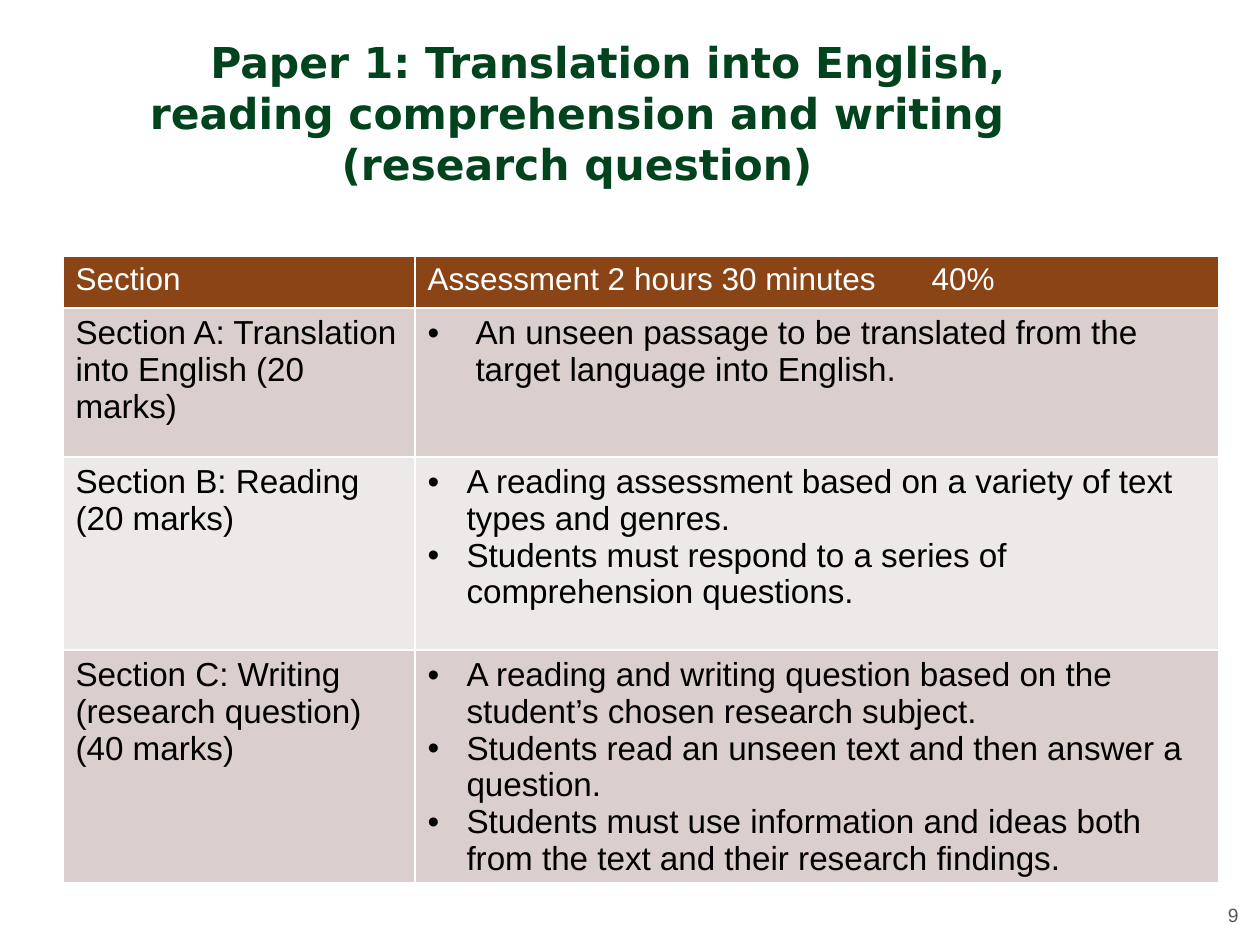
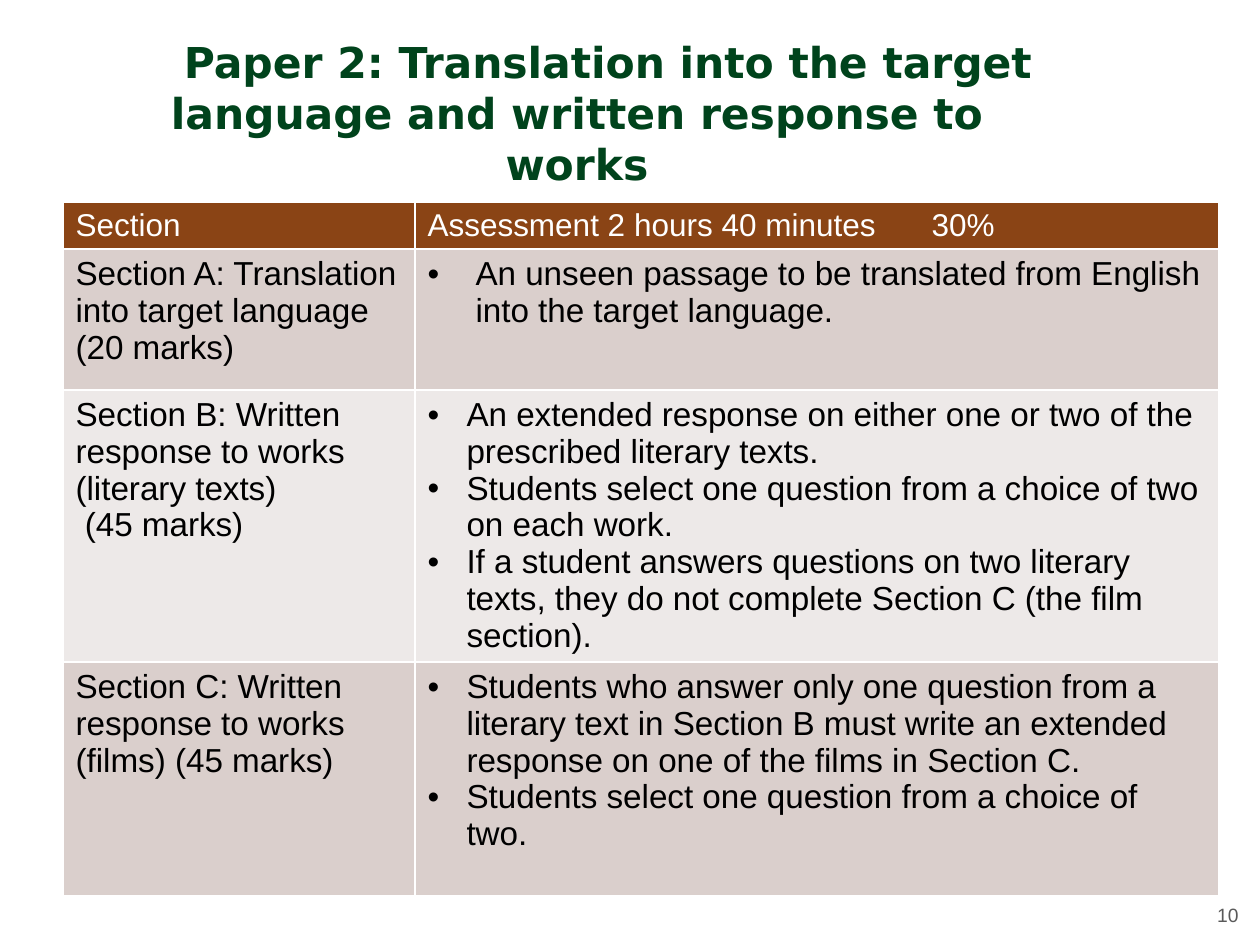
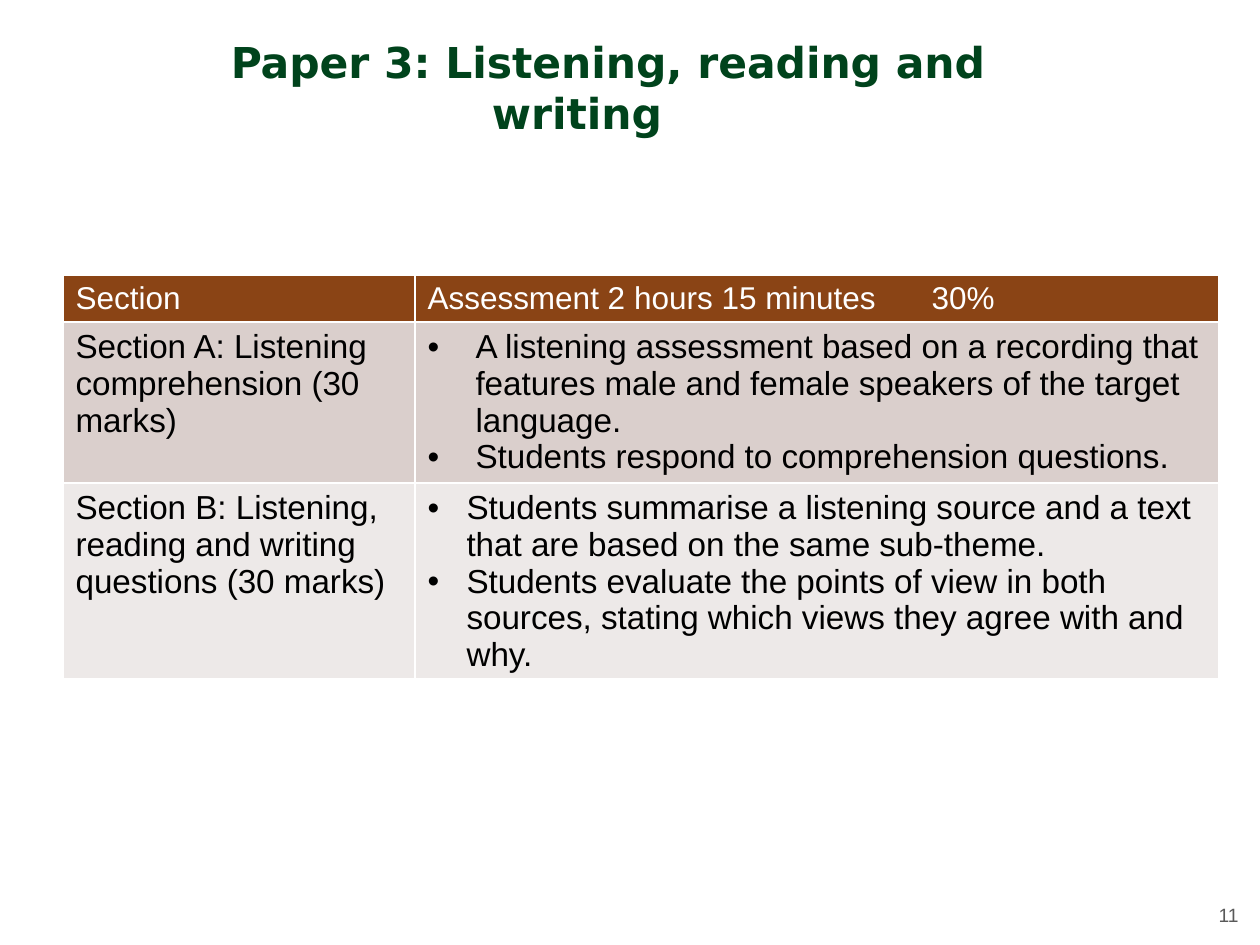
from lxml.etree import SubElement
from pptx import Presentation
from pptx.dml.color import RGBColor
from pptx.enum.text import PP_ALIGN
from pptx.oxml.ns import qn
from pptx.util import Pt

PX = 914400 // 126
GREEN = RGBColor(0x00, 0x43, 0x1C)
BROWN = RGBColor(0x8A, 0x44, 0x15)
DARK = RGBColor(0xDA, 0xCF, 0xCC)
LIGHT = RGBColor(0xED, 0xE9, 0xE8)
WHITE = RGBColor(0xFF, 0xFF, 0xFF)
BLACK = RGBColor(0x00, 0x00, 0x00)
GREY = RGBColor(0x59, 0x59, 0x59)

TITLE = (107, 36, 940, 77)
NUMBER = (1199, 897, 52, 37)
COLS = (352, 804)
LEFT = 63

PAPERS = [
    {
        "title": "Paper 1: Translation into English, reading comprehension and writing (research question)",
        "head": "Assessment 2 hours 30 minutes\t40%",
        "top": 256,
        "rows": (52, 149, 193, 233),
        "parts": [
            (["Section A: Translation into English (20 marks)"],
             ["An unseen passage to be translated from the target language into English."]),
            (["Section B: Reading (20 marks)"],
             ["A reading assessment based on a variety of text types and genres.",
              "Students must respond to a series of comprehension questions."]),
            (["Section C: Writing (research question) (40 marks)"],
             ["A reading and writing question based on the student’s chosen research subject.",
              "Students read an unseen text and then answer a question.",
              "Students must use information and ideas both from the text and their research findings."]),
        ],
    },
    {
        "title": "Paper 2: Translation into the target language and written response to works",
        "head": "Assessment 2 hours 40 minutes\t30%",
        "top": 202,
        "rows": (47, 141, 272, 234),
        "parts": [
            (["Section A: Translation into target language (20 marks)"],
             ["An unseen passage to be translated from English into the target language."]),
            (["Section B: Written response to works (literary texts)", " (45 marks)"],
             ["An extended response on either one or two of the prescribed literary texts.",
              "Students select one question from a choice of two on each work.",
              "If a student answers questions on two literary texts, "
              "they do not complete Section C (the film section)."]),
            (["Section C: Written response to works (films) (45 marks)"],
             ["Students who answer only one question from a literary text in Section B "
              "must write an extended response on one of the films in Section C.",
              "Students select one question from a choice of two."]),
        ],
    },
    {
        "title": "Paper 3: Listening, reading and writing",
        "head": "Assessment 2 hours 15 minutes\t30%",
        "top": 275,
        "rows": (47, 161, 196),
        "parts": [
            (["Section A: Listening comprehension (30 marks)"],
             ["A listening assessment based on a recording that features "
              "male and female speakers of the target language.",
              "Students respond to comprehension questions."]),
            (["Section B: Listening, reading and writing questions (30 marks)"],
             ["Students summarise a listening source and a text that are based on the same sub-theme.",
              "Students evaluate the points of view in both sources, "
              "stating which views they agree with and why."]),
        ],
    },
]


def write(frame, lines, size=19, color=BLACK, font="Arial", bold=False,
          align=PP_ALIGN.LEFT, first=0, hang=0, tab=0, pitch=None):
    """Fill a text frame with one paragraph per line; hang adds bullets."""
    frame.word_wrap = True
    for index, line in enumerate(lines):
        para = frame.paragraphs[0] if index == 0 else frame.add_paragraph()
        props = para._p.get_or_add_pPr()
        props.set("marL", str(hang * PX))
        props.set("indent", str((first - hang) * PX))
        if hang:
            SubElement(props, qn("a:buFont"), typeface="Arial")
            SubElement(props, qn("a:buChar"), char="•")
        if tab:
            stops = SubElement(props, qn("a:tabLst"))
            SubElement(stops, qn("a:tab"), pos=str(tab * PX), algn="l")
        para.alignment = align
        if pitch:
            para.line_spacing = Pt(pitch)
        run = para.add_run()
        run.text = line
        run.font.size = Pt(size)
        run.font.name = font
        run.font.bold = bold
        run.font.color.rgb = color


def add_box(slide, box):
    """Add a text box and return its frame."""
    return slide.shapes.add_textbox(*(n * PX for n in box)).text_frame


def add_title(slide, box, text):
    """Add the centred green heading with its indented first line."""
    frame = add_box(slide, box)
    frame.margin_left = frame.margin_right = 0
    frame.margin_top = frame.margin_bottom = 0
    write(frame, [text], size=24.3, color=GREEN, font="DejaVu Sans", bold=True,
          align=PP_ALIGN.CENTER, first=62, pitch=29.1)


def paint(cell, fill):
    """Fill a cell, give it white borders and drop its lower margin."""
    props = cell._tc.get_or_add_tcPr()
    for side in "LRTB":
        line = SubElement(props, qn("a:ln" + side), w=str(Pt(1)))
        solid = SubElement(line, qn("a:solidFill"))
        SubElement(solid, qn("a:srgbClr"), val=str(WHITE))
    cell.fill.solid()
    cell.fill.fore_color.rgb = fill
    cell.margin_bottom = 0


def add_grid(slide, left, top, paper):
    """Add the table of sections and their assessment."""
    rows = paper["rows"]
    shape = slide.shapes.add_table(len(rows), len(COLS), left * PX, top * PX,
                                   sum(COLS) * PX, sum(rows) * PX)
    grid = shape.table
    grid.first_row = grid.horz_banding = False
    for col, width in zip(grid.columns, COLS):
        col.width = width * PX
    for row, height in zip(grid.rows, rows):
        row.height = height * PX
    for col, text in enumerate(("Section", paper["head"])):
        cell = grid.cell(0, col)
        paint(cell, BROWN)
        write(cell.text_frame, [text], size=18, color=WHITE, tab=479 * col, pitch=20)
    for row, (name, points) in enumerate(paper["parts"], 1):
        hangs = (0, 48 if row == 1 else 39)
        for col, lines in enumerate((name, points)):
            cell = grid.cell(row, col)
            paint(cell, DARK if row % 2 else LIGHT)
            write(cell.text_frame, lines, hang=hangs[col], pitch=21.1)


def add_paper(deck, number, paper):
    """Add the slide of one exam paper."""
    slide = deck.slides.add_slide(deck.slide_layouts[6])
    write(add_box(slide, NUMBER), [str(number)], size=11, color=GREY,
          align=PP_ALIGN.RIGHT)
    add_title(slide, TITLE, paper["title"])
    add_grid(slide, LEFT, paper["top"], paper)


def main():
    """Build and save the deck."""
    deck = Presentation()
    deck.slide_width, deck.slide_height = 1260 * PX, 945 * PX
    for number, paper in enumerate(PAPERS, 9):
        add_paper(deck, number, paper)
    deck.save("out.pptx")


if __name__ == "__main__":
    main()
